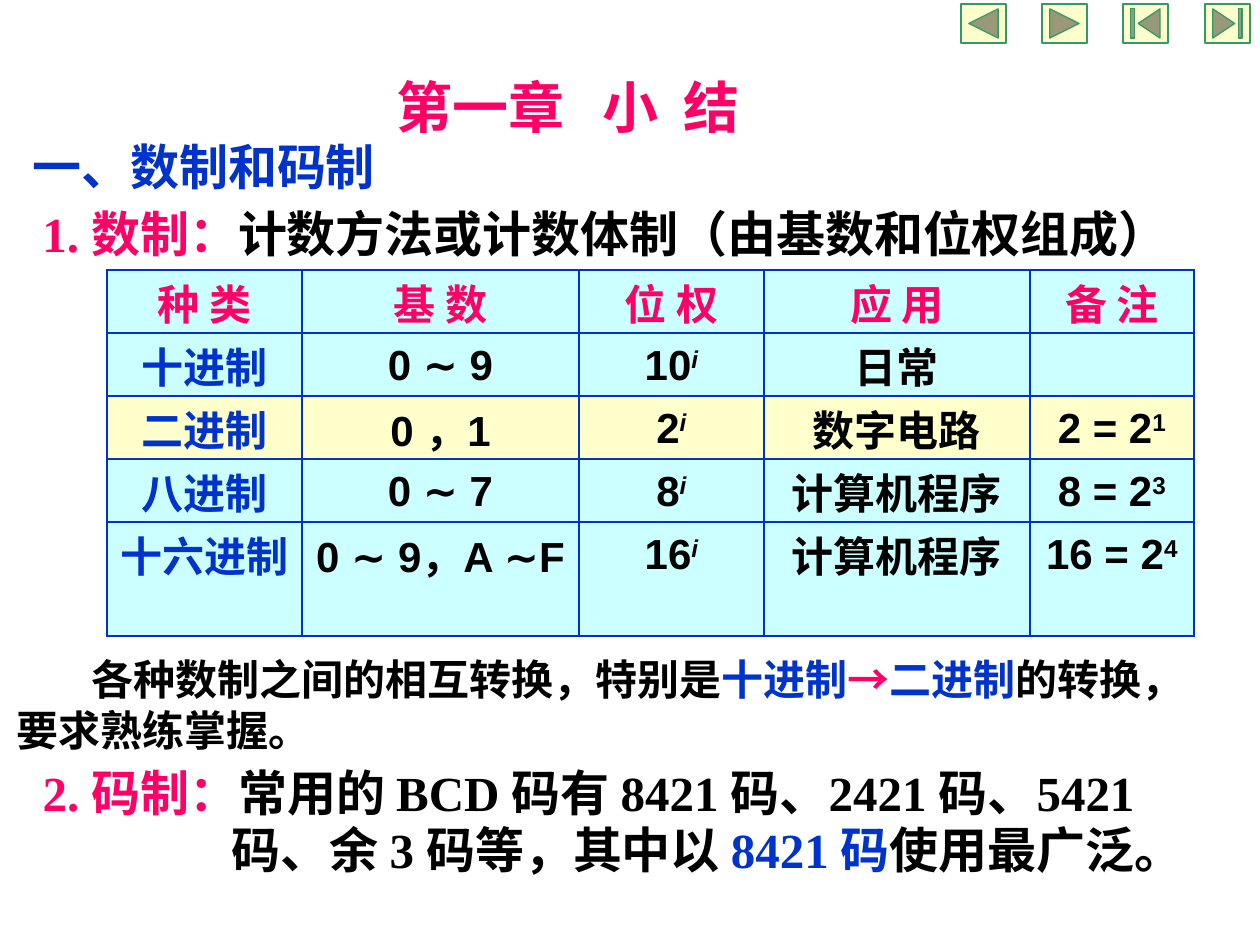
from lxml.etree import SubElement
from pptx import Presentation
from pptx.dml.color import RGBColor
from pptx.enum.shapes import MSO_SHAPE
from pptx.enum.text import MSO_ANCHOR, MSO_AUTO_SIZE, PP_ALIGN
from pptx.oxml.ns import qn
from pptx.util import Emu, Pt

COLORS = {
    "pink": "FF0066", "blue": "0033CC", "black": "000000",
    "aqua": "CCFFFF", "cream": "FFFFCC", "green": "339966",
}


def px(length):
    """Turn pixels into EMU."""
    return Emu(round(length * 914400 / 126))


def rgb(name):
    """Look up a colour by name."""
    return RGBColor.from_string(COLORS[name])


class SummarySlide:
    """Holds the style and the current slide."""

    def __init__(self, slide, font="Times New Roman", table_font="Arial"):
        """Keep the slide and its fonts."""
        self.slide = slide
        self.font = font
        self.table_font = table_font

    def fill_paragraph(self, paragraph, runs, size, font, pitch):
        """Fill a paragraph with (text, colour, run attributes) parts."""
        paragraph.font.size = Pt(size)
        paragraph.font.bold = True
        paragraph.font.name = font
        paragraph.line_spacing = Pt(pitch)
        paragraph.space_before = Pt(0)
        for text, color, attributes in runs:
            run = paragraph.add_run()
            run.text = text
            run.font.color.rgb = rgb(color)
            for key, value in attributes.items():
                run.font._element.set(key, str(value))

    def text(self, box, paragraphs, size, pitch, indents=((0, 0),), font=None, holder=None):
        """Place paragraphs in a text box or a placeholder."""
        place = [px(side) for side in box]
        if holder is None:
            holder = self.slide.shapes.add_textbox(*place)
        holder.left, holder.top, holder.width, holder.height = place
        frame = holder.text_frame
        frame.word_wrap = True
        frame.auto_size = MSO_AUTO_SIZE.NONE
        frame.vertical_anchor = MSO_ANCHOR.TOP
        for index, (runs, (margin, first)) in enumerate(zip(paragraphs, indents)):
            paragraph = frame.add_paragraph() if index else frame.paragraphs[0]
            paragraph.alignment = PP_ALIGN.LEFT
            self.fill_paragraph(paragraph, runs, size, font or self.font, pitch)
            properties = paragraph._p.get_or_add_pPr()
            properties.set("marL", str(px(margin)))
            properties.set("indent", str(px(first)))
            bullet = SubElement(properties, qn("a:buNone"))
            properties.find(qn("a:defRPr")).addprevious(bullet)

    def border(self, cell, widths):
        """Draw the four sides of a cell, given in points."""
        properties = cell._tc.get_or_add_tcPr()
        for position, (side, width) in enumerate(zip("LRTB", widths)):
            line = SubElement(properties, qn(f"a:ln{side}"), w=str(Pt(width)))
            fill = SubElement(line, qn("a:solidFill"))
            SubElement(fill, qn("a:srgbClr"), val=COLORS["blue"])
            properties.remove(line)
            properties.insert(position, line)

    def table(self, left, top, widths, heights, rows, highlight):
        """Build the table of number systems."""
        frame = self.slide.shapes.add_table(
            len(rows), len(widths), px(left), px(top), px(sum(widths)), px(sum(heights)))
        grid = frame.table
        for column, width in zip(grid.columns, widths):
            column.width = px(width)
        last_row, last_column = len(rows) - 1, len(widths) - 1
        for r, (row, height) in enumerate(zip(rows, heights)):
            grid.rows[r].height = px(height)
            for c, (base, power) in enumerate(row):
                cell = grid.cell(r, c)
                cell.fill.solid()
                cell.fill.fore_color.rgb = rgb("cream" if r == highlight else "aqua")
                chinese = any("一" <= letter for letter in base)
                cell.margin_left = cell.margin_right = px(12)
                cell.margin_top, cell.margin_bottom = px(12 if chinese else 6), px(0 if chinese else 6)
                color = "pink" if r == 0 else "blue" if c == 0 else "black"
                runs = [(base, color, {})] if base else []
                if power:
                    raised = {"baseline": 30000, "i": int(power == "i")}
                    runs.append((power, color, raised))
                paragraph = cell.text_frame.paragraphs[0]
                paragraph.alignment = PP_ALIGN.CENTER
                self.fill_paragraph(paragraph, runs, 24, self.table_font, 29)
                outer = (c == 0, c == last_column, r == 0, r == last_row)
                self.border(cell, [1.47 if edge else 1.08 for edge in outer])

    def button(self, kind, left):
        """Add one navigation button."""
        shape = self.slide.shapes.add_shape(kind, px(left), px(4), px(45), px(39))
        shape.shadow.inherit = False
        shape.fill.solid()
        shape.fill.fore_color.rgb = rgb("cream")
        shape.line.color.rgb = rgb("green")
        shape.line.width = Pt(0.75)


def main():
    """Build the chapter summary slide."""
    deck = Presentation()
    deck.slide_width, deck.slide_height = px(1260), px(945)
    slide = deck.slides.add_slide(deck.slide_layouts[1])
    summary = SummarySlide(slide)
    title, codes = slide.placeholders

    summary.text((384, 67, 620, 81), [[
        ("第一章", "pink", {}), (" ", "pink", {"spc": 1400}), ("小", "pink", {}),
        (" ", "pink", {"spc": 700}), ("结", "pink", {})]],
        32, 38, font="Noto Sans CJK SC", holder=title)
    summary.text((20, 131, 785, 72), [[("一、数制和码制", "blue", {})]], 28, 33)
    summary.text((30, 198, 1220, 72), [[
        ("1. 数制：", "pink", {}),
        ("计数方法或计数体制（由基数和位权组成）", "black", {})]], 28, 33)

    systems = [
        [("种 类", ""), ("基 数", ""), ("位 权", ""), ("应 用", ""), ("备 注", "")],
        [("十进制", ""), ("0 ∼ 9", ""), ("10", "i"), ("日常", ""), ("", "")],
        [("二进制", ""), ("0 ，1", ""), ("2", "i"), ("数字电路", ""), ("2 = 2", "1")],
        [("八进制", ""), ("0 ∼ 7", ""), ("8", "i"), ("计算机程序", ""), ("8 = 2", "3")],
        [("十六进制", ""), ("0 ∼ 9，A ∼F", ""), ("16", "i"), ("计算机程序", ""), ("16 = 2", "4")],
    ]
    summary.table(107, 270, [195, 277, 185, 266, 164], [63] * 4 + [114], systems, highlight=2)

    summary.text((4, 647, 1210, 113), [[
        ("各种数制之间的相互转换，特别是", "black", {}), ("十进制", "blue", {}),
        ("→", "pink", {}), ("二进制", "blue", {}),
        ("的转换，要求熟练掌握。", "black", {})]], 24, 29, indents=[(0, 75)])
    summary.text((30, 757, 1228, 131), [
        [("2. 码制：", "pink", {}),
         ("常用的 BCD 码有 8421 码、2421 码、5421", "black", {})],
        [("码、余 3 码等，其中以 ", "black", {}), ("8421 码", "blue", {}),
         ("使用最广泛。", "black", {})]],
        28, 33, indents=[(63, -63), (189, 0)], holder=codes)

    buttons = [
        MSO_SHAPE.ACTION_BUTTON_BACK_OR_PREVIOUS, MSO_SHAPE.ACTION_BUTTON_FORWARD_OR_NEXT,
        MSO_SHAPE.ACTION_BUTTON_BEGINNING, MSO_SHAPE.ACTION_BUTTON_END,
    ]
    for index, kind in enumerate(buttons):
        summary.button(kind, 961 + index * 244 // 3)
    deck.save("out.pptx")


if __name__ == "__main__":
    main()
